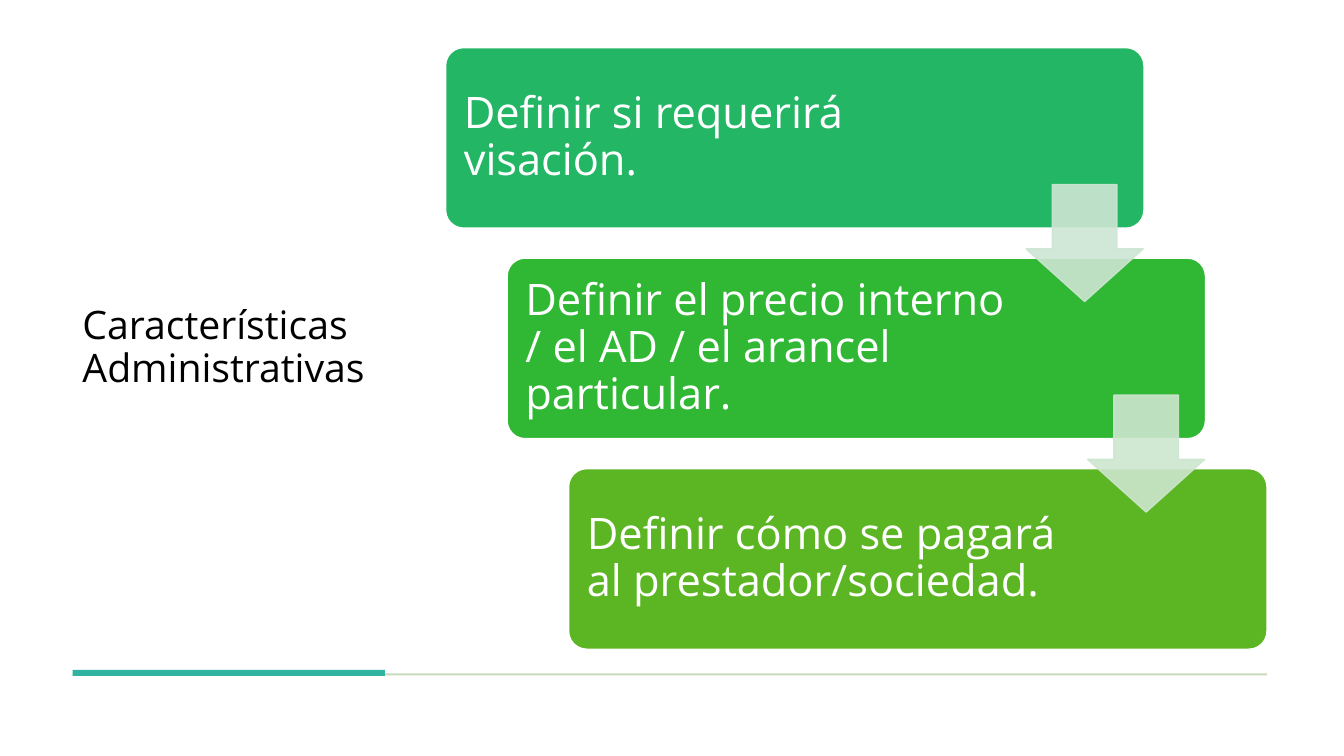
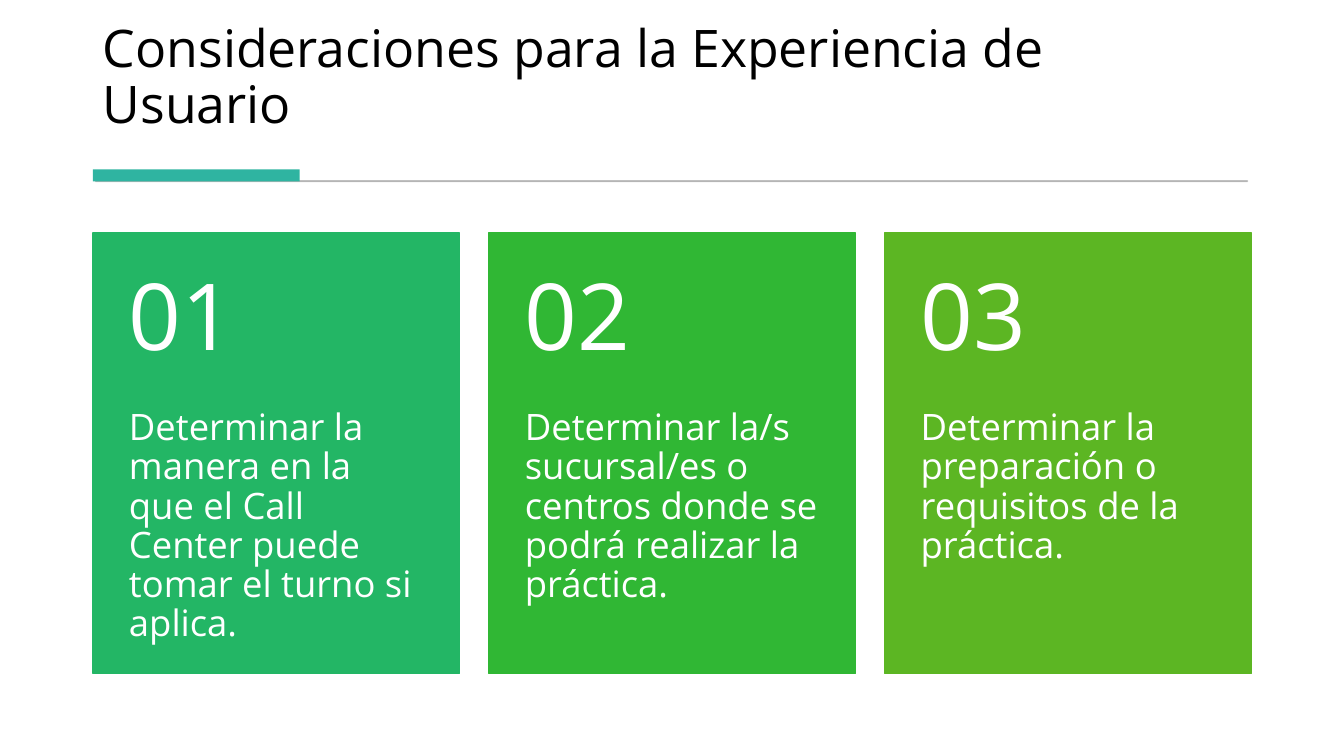
from collections import namedtuple

from lxml.etree import SubElement
from pptx import Presentation
from pptx.dml.color import RGBColor
from pptx.enum.shapes import MSO_SHAPE as Preset
from pptx.enum.text import MSO_ANCHOR as Anchor, PP_ALIGN as Align
from pptx.oxml.ns import qn
from pptx.util import Cm, Pt

Box = namedtuple("Box", "left top width height")

COLORS = {
    "paper": "FFFFFF",
    "ink": "000000",
    "accent": "2FB4A1",
    "pale_rule": "C8D9BC",
    "grey_rule": "595959",
    "emerald": "23B665",
    "green": "30B734",
    "lime": "5CB623",
    "mint": "CDE5D3",
    "pale_green": "CDE6CE",
}
SERIES = ("emerald", "green", "lime")
FONT = "Open Sans"
TITLE_INSETS = (0.25, 0.13, 0.25, 0.13)


def cm_box(box):
    """Turn a box in centimetres into lengths."""
    return [Cm(value) for value in box]


def paint(color_format, color, opacity):
    """Colour a fill or line, with opacity in percent."""
    color_format.solid()
    color_format.fore_color.rgb = RGBColor.from_string(COLORS[color])


def set_opacity(shape, opacity):
    """Make every plain colour of a shape's fill and line translucent."""
    for color in shape.fill._xPr.iter(qn("a:srgbClr")):
        SubElement(color, qn("a:alpha"), val=str(opacity * 1000))


def add_block(slide, box, fill, line=None, line_width=1, preset=Preset.RECTANGLE,
              adjustments=(), opacity=100):
    """Draw a filled preset shape in the box."""
    block = slide.shapes.add_shape(preset, *cm_box(box))
    block.shadow.inherit = False
    for index, value in enumerate(adjustments):
        block.adjustments[index] = value
    paint(block.fill, fill, opacity)
    if line:
        paint(block.line.fill, line, opacity)
        block.line.width = Pt(line_width)
    else:
        block.line.fill.background()
    if opacity < 100:
        set_opacity(block, opacity)


def add_text(slide, box, text, size, color="paper", anchor=Anchor.MIDDLE,
             insets=(0.33,) * 4):
    """Write one wrapped paragraph in the box."""
    frame = slide.shapes.add_textbox(*cm_box(box)).text_frame
    left, top, right, bottom = cm_box(insets)
    paragraph = frame.paragraphs[0]
    run = paragraph.add_run()
    run.text = text
    run.font.color.rgb = RGBColor.from_string(COLORS[color])
    formats = (
        (frame, {"word_wrap": True, "vertical_anchor": anchor,
                 "margin_left": left, "margin_top": top,
                 "margin_right": right, "margin_bottom": bottom}),
        (paragraph, {"alignment": Align.LEFT, "line_spacing": 0.9}),
        (run.font, {"name": FONT, "size": Pt(size)}),
    )
    for target, values in formats:
        for name, value in values.items():
            setattr(target, name, value)


def add_title(slide, box, text, size, anchor):
    """Write the slide title."""
    add_text(slide, box, text, size, "ink", anchor, TITLE_INSETS)


def add_staircase(slide, box, steps):
    """Place steps diagonally in the box, joined by down arrows."""
    width, height, arrow = 17.6, 4.55, 2.95
    shift = (box.width - width) / (len(steps) - 1)
    drop = (box.height - height) / (len(steps) - 1)
    corners = [(box.left + i * shift, box.top + i * drop) for i in range(len(steps))]
    for (left, top), text, color in zip(corners, steps, SERIES):
        add_block(slide, Box(left, top, width, height), color, "paper",
                  preset=Preset.ROUNDED_RECTANGLE, adjustments=(0.1,))
        add_text(slide, Box(left + 0.13, top + 0.13, 12.8, height - 0.26), text, 31)
    for (left, top), color in zip(corners[:-1], ("mint", "pale_green")):
        add_block(slide, Box(left + 14.63, top + 3.45, arrow, arrow), color, color,
                  preset=Preset.DOWN_ARROW, adjustments=(0.55, 0.45), opacity=90)


def add_cards(slide, box, texts):
    """Fill the box with equal numbered cards."""
    gap, number_height, side = 0.73, 4.44, 0.91
    width = (box.width - gap * (len(texts) - 1)) / len(texts)
    for index, (text, color) in enumerate(zip(texts, SERIES)):
        card = Box(box.left + index * (width + gap), box.top, width, box.height)
        add_block(slide, card, color, color)
        add_text(slide, card._replace(top=card.top + number_height,
                                      height=card.height - number_height),
                 text, 26, anchor=Anchor.TOP, insets=(side, 0, side, side))
        add_text(slide, card._replace(height=number_height), f"{index + 1:02}", 66,
                 insets=(side, side / 2, side, side / 2))


def build_administrative(slide, box):
    """Title at the left, staircase at the right, rule below."""
    body_height = 15.16
    add_title(slide, Box(box.left, box.top, 7.87, body_height),
              "Características Administrativas", 28, Anchor.MIDDLE)
    add_block(slide, Box(box.left, box.top + 15.77, box.width, 0.05), "pale_rule")
    add_block(slide, Box(box.left, box.top + 15.68, 7.87, 0.15), "accent")
    add_staircase(slide, Box(box.left + 9.4, box.top, box.width - 9.4, body_height), (
        "Definir si requerirá visación.",
        "Definir el precio interno / el AD / el arancel particular.",
        "Definir cómo se pagará al prestador/sociedad.",
    ))


def build_experience(slide, box):
    """Title on top, rule below it, numbered cards underneath."""
    add_title(slide, Box(box.left, box.top, box.width, 2.82),
              "Consideraciones para la Experiencia de Usuario", 37, Anchor.BOTTOM)
    add_block(slide, Box(box.left + 0.07, box.top + 3.84, 29.03, 0.03), "grey_rule",
              "grey_rule", 0.75, opacity=30)
    add_block(slide, Box(box.left, box.top + 3.56, 5.21, 0.3), "accent")
    add_cards(slide, Box(box.left, box.top + 5.16, box.width, 11.1), (
        "Determinar la manera en la que el Call Center puede tomar el turno si aplica.",
        "Determinar la/s sucursal/es o centros donde se podrá realizar la práctica.",
        "Determinar la preparación o requisitos de la práctica.",
    ))


def main():
    """Build and save the presentation."""
    deck = Presentation()
    deck.slide_width, deck.slide_height = Cm(33.87), Cm(19.05)
    pages = (
        (build_administrative, Box(1.83, 1.2, 30.1, 16)),
        (build_experience, Box(2.34, 0.71, 29.2, 16.26)),
    )
    for build, box in pages:
        slide = deck.slides.add_slide(deck.slide_layouts[6])
        paint(slide.background.fill, "paper", 100)
        build(slide, box)
    deck.save("out.pptx")


main()
